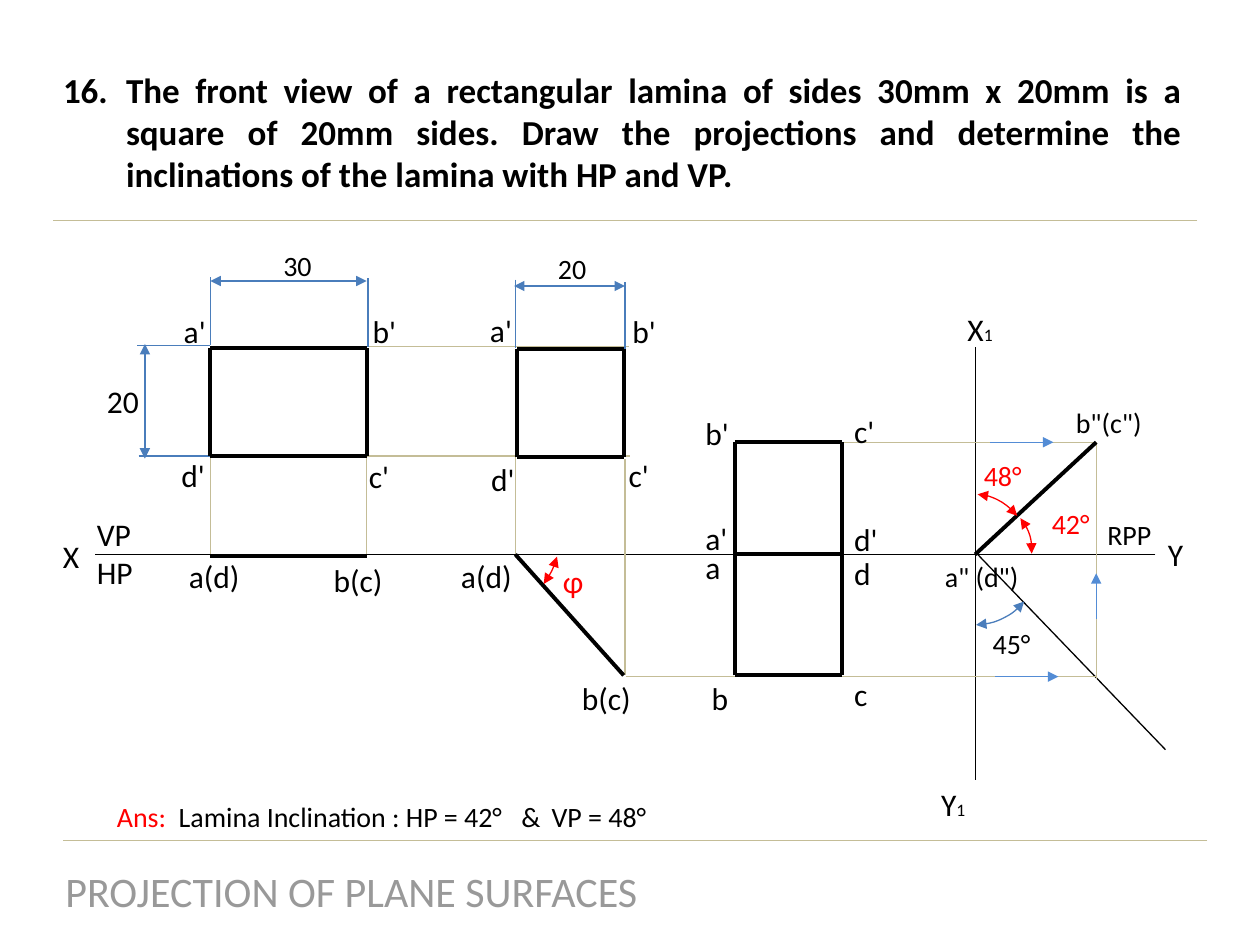
from dataclasses import dataclass

from lxml.etree import SubElement
from pptx import Presentation
from pptx.dml.color import RGBColor
from pptx.enum.shapes import MSO_CONNECTOR, MSO_SHAPE
from pptx.enum.text import MSO_ANCHOR, MSO_AUTO_SIZE, PP_ALIGN
from pptx.oxml.ns import qn
from pptx.util import Inches, Pt

COLUMNS, ROWS = 100, 75
SLIDE_WIDTH, SLIDE_HEIGHT = Inches(10), Inches(7.5)
COLORS = {"ink": "000000", "guide": "C4BD97", "dimension": "4A7DBB",
          "flow": "538CD5", "angle": "FF0000", "footer": "999999"}
WEIGHTS = {"thin": 0.75, "thick": 2.25}


@dataclass
class Line:
    start: tuple[float, float]
    end: tuple[float, float]
    color: str = "guide"
    weight: str = "thin"
    arrows: tuple[str, ...] = ()


@dataclass
class Label:
    text: str
    column: float
    row: float
    width: float = 3.9
    size: float = 18
    color: str = "ink"
    subscript: str = ""


@dataclass
class Arc:
    box: tuple[float, float, float, float]
    rotation: float
    adjustments: tuple[float, float]
    color: str = "angle"


def across(columns: float) -> int:
    return round(SLIDE_WIDTH * columns / COLUMNS)


def down(rows: float) -> int:
    return round(SLIDE_HEIGHT * rows / ROWS)


def place(box: tuple) -> tuple:
    left, top, width, height = box
    return across(left), down(top), across(width), down(height)


def style_line(shape, color: str, weight: str, arrows: tuple) -> None:
    shape.line.color.rgb = RGBColor.from_string(COLORS[color])
    shape.line.width = Pt(WEIGHTS[weight])
    for arrow in arrows:
        SubElement(shape.line._get_or_add_ln(), qn(f"a:{arrow}"), type="triangle")


def draw_line(shapes, line: Line) -> None:
    connector = shapes.add_connector(
        MSO_CONNECTOR.STRAIGHT, across(line.start[0]), down(line.start[1]),
        across(line.end[0]), down(line.end[1]))
    style_line(connector, line.color, line.weight, line.arrows)
    SubElement(connector._element.spPr, qn("a:effectLst"))


def draw_arc(shapes, arc: Arc) -> None:
    shape = shapes.add_shape(MSO_SHAPE.ARC, *place(arc.box))
    shape.rotation = arc.rotation
    shape.shadow.inherit = False
    shape.fill.background()
    for index, value in enumerate(arc.adjustments):
        shape.adjustments[index] = value
    style_line(shape, arc.color, "thin", BOTH)


def add_run(paragraph, text: str, size: float, color: str, bold: bool = False) -> None:
    run = paragraph.add_run()
    run.text = text
    for name, value in {"name": "Calibri", "size": Pt(size), "bold": bold}.items():
        setattr(run.font, name, value)
    run.font.color.rgb = RGBColor.from_string(COLORS[color])


def draw_label(shapes, label: Label):
    lines = label.text.split("\n")
    height = label.size / 7.2 * 1.2 * len(lines) + 1
    box = shapes.add_textbox(*place((label.column, label.row, label.width, height)))
    frame = box.text_frame
    frame.word_wrap = False
    frame.auto_size = MSO_AUTO_SIZE.SHAPE_TO_FIT_TEXT
    for index, text in enumerate(lines):
        paragraph = frame.add_paragraph() if index else frame.paragraphs[0]
        add_run(paragraph, text, label.size, label.color)
    if label.subscript:
        add_run(paragraph, label.subscript, 10, label.color)
    return box


def draw_outline(shapes, left: float, top: float, right: float, bottom: float,
                 sides: str = "TRLB") -> None:
    edges = {"T": ((right, top), (left, top)), "R": ((right, bottom), (right, top)),
             "L": ((left, bottom), (left, top)), "B": ((right, bottom), (left, bottom))}
    group = shapes.add_group_shape()
    for side in sides:
        draw_line(group.shapes, Line(*edges[side], "ink", "thick"))


def draw_title(slide, text: str) -> None:
    title = slide.shapes.title
    title.left, title.top, title.width, title.height = place((4, 4.9, 90.8, 11.1))
    frame = title.text_frame
    for name, value in {"word_wrap": True, "auto_size": MSO_AUTO_SIZE.NONE,
                        "vertical_anchor": MSO_ANCHOR.TOP}.items():
        setattr(frame, name, value)
    paragraph = frame.paragraphs[0]
    paragraph.alignment = PP_ALIGN.JUSTIFY
    properties = paragraph._p.get_or_add_pPr()
    properties.set("marL", str(Inches(0.5)))
    properties.set("indent", str(-Inches(0.5)))
    SubElement(properties, qn("a:buFont"), typeface="+mj-lt")
    SubElement(properties, qn("a:buAutoNum"), type="arabicPeriod", startAt="16")
    add_run(paragraph, text, 20, "ink", True)


def draw_answer(shapes) -> None:
    box = draw_label(shapes, Label("Ans:", 8.3, 63, 45.1, 16, "angle"))
    box.text_frame.word_wrap = True
    paragraph = box.text_frame.paragraphs[0]
    tabs = SubElement(paragraph._p.get_or_add_pPr(), qn("a:tabLst"))
    for position in (0.49, 3.21, 3.45):
        SubElement(tabs, qn("a:tab"), pos=str(Inches(position)), algn="l")
    add_run(paragraph, "\tLamina Inclination : HP = 42°\t&\tVP = 48°", 16, "ink")


BOTH, HEAD = ("headEnd", "tailEnd"), ("headEnd",)
GROUND = 44

LINES = [
    # Page rules and reference lines
    Line((95.8, 66.7), (5, 66.7)), Line((95, 17.5), (4.2, 17.5)),
    Line((91.7, GROUND), (7.5, GROUND), "ink"),
    Line((77.4, 61.9), (77.4, 27.5), "ink"), Line((92.5, 59.5), (77.4, 43.8), "ink"),
    # Projectors between the views
    Line((29.1, 36.2), (50, 36.2)), Line((29.2, 27.5), (49.9, 27.5)),
    *[Line((column, 36.3), (column, GROUND)) for column in (16.7, 29.1, 40.9)],
    Line((49.6, 36.4), (49.6, 53.6)), Line((49.7, 53.7), (66.8, 53.7)),
    Line((87, 35.1), (87, 53.9)),
    *[Line((87, row), (66.7, row)) for row in (53.7, 35.1)],
    # Dimensions: extension lines, then arrows
    *[Line((column, row), (column, row + 5.4), "dimension")
      for column, row in ((16.7, 22), (29.2, 22.1), (40.9, 22.2), (49.6, 22.4))],
    Line((10.9, 27.4), (16.7, 27.4), "dimension"),
    Line((11, 36.2), (16.9, 36.2), "dimension"),
    Line((11.5, 27.3), (11.5, 36.4), "dimension", arrows=BOTH),
    Line((29.1, 22.3), (16.7, 22.3), "dimension", arrows=BOTH),
    Line((49.6, 22.7), (40.8, 22.7), "dimension", arrows=BOTH),
    # Edge views of the lamina
    Line((29.1, 44.1), (16.7, 44.1), "ink", "thick"),
    Line((49.5, 53.6), (40.9, GROUND), "ink", "thick"),
    Line((87, 35.1), (77.4, GROUND), "ink", "thick"),
    # Projection direction arrows
    Line((84, 53.7), (79, 53.7), "flow", arrows=HEAD),
    Line((83.6, 35.1), (78.6, 35.1), "flow", arrows=HEAD),
    Line((87, 45.5), (87, 49.1), "flow", arrows=HEAD),
]
OUTLINES = [(16.7, 27.6, 29.1, 36.2), (41, 27.7, 49.5, 36.3),
            (58.3, 35.1, 66.8, GROUND, "TRL"), (58.3, GROUND, 66.8, 53.6)]
ARCS = [
    Arc((75.5, 38.8, 5.7, 7.5), 314.5, (181.626, 6.984)),
    Arc((75.3, 40, 6.6, 7.3), 0, (188.16, 3.075)),
    Arc((72.8, 40.2, 8.9, 9.9), 90, (181.626, 214.356), "dimension"),
    Arc((40.8, 42.3, 2.6, 6.6), 35.5, (174.466, 0)),
]
LABELS = [
    # Reference line names
    Label("X", 4, 42.1, 3.3), Label("Y", 91.7, 42, 3.2), Label("VP\nHP", 6.7, 40.4, 4.9),
    Label("X", 75.8, 24.1, 4.1, subscript="1"), Label("Y", 73.7, 61.8, 4.1, subscript="1"),
    Label("RPP", 86.9, 40.6, 5.6, 16),
    # Front views
    Label("a'", 13.6, 24.3), Label("b'", 28.6, 24.3),
    Label("c'", 28.3, 35.8, 3.6), Label("d'", 13.4, 35.7),
    Label("a'", 37.9, 24.2, 3.8), Label("b'", 49.2, 24.3),
    Label("c'", 48.9, 35.7, 3.6), Label("d'", 38, 36),
    Label("a'", 55, 40.7, 3.8), Label("b'", 55, 32.4),
    Label("c'", 66.8, 32.2, 3.6), Label("d'", 66.8, 40.8),
    # Top views
    Label("a(d)", 14, 43.7, 6.1), Label("b(c)", 25.5, 44, 6),
    Label("a(d)", 35.6, 43.7, 6.1), Label("b(c)", 45.2, 53.4, 6),
    Label("a", 55, 43, 3.4), Label("b", 55.5, 53.4, 3.4),
    Label("c", 66.8, 53.1, 3.1), Label("d", 66.8, 43.5, 3.4),
    # Side view
    Label("a\" (d\")", 74, 43.9, 8, 16), Label("b\"(c\")", 84.4, 31.7, 7.3, 16),
    # Dimensions and angles
    Label("20", 7.5, 29.8, 4.6), Label("30", 21.5, 19.2, 4.3, 16),
    Label("20", 43.3, 19.5, 4.3, 16), Label("45°", 77.8, 49.2, 5.6, 16),
    Label("42°", 82.5, 39.7, 5.6, 16, "angle"), Label("48°", 77.1, 35.9, 5.6, 16, "angle"),
    Label("ɸ", 43.7, 44.1, 3.7, color="angle"),
    # Footer
    Label("PROJECTION OF PLANE SURFACES", 4.2, 68.2, 47.8, 24, "footer"),
]


def main() -> None:
    presentation = Presentation()
    presentation.slide_width, presentation.slide_height = SLIDE_WIDTH, SLIDE_HEIGHT
    slide = presentation.slides.add_slide(presentation.slide_layouts[5])
    draw_title(slide, "The front view of a rectangular lamina of sides 30mm x 20mm is a "
                      "square of 20mm sides. Draw the projections and determine the "
                      "inclinations of the lamina with HP and VP.")
    for line in LINES:
        draw_line(slide.shapes, line)
    for outline in OUTLINES:
        draw_outline(slide.shapes, *outline)
    for arc in ARCS:
        draw_arc(slide.shapes, arc)
    for label in LABELS:
        draw_label(slide.shapes, label)
    draw_answer(slide.shapes)
    presentation.save("out.pptx")


if __name__ == "__main__":
    main()
